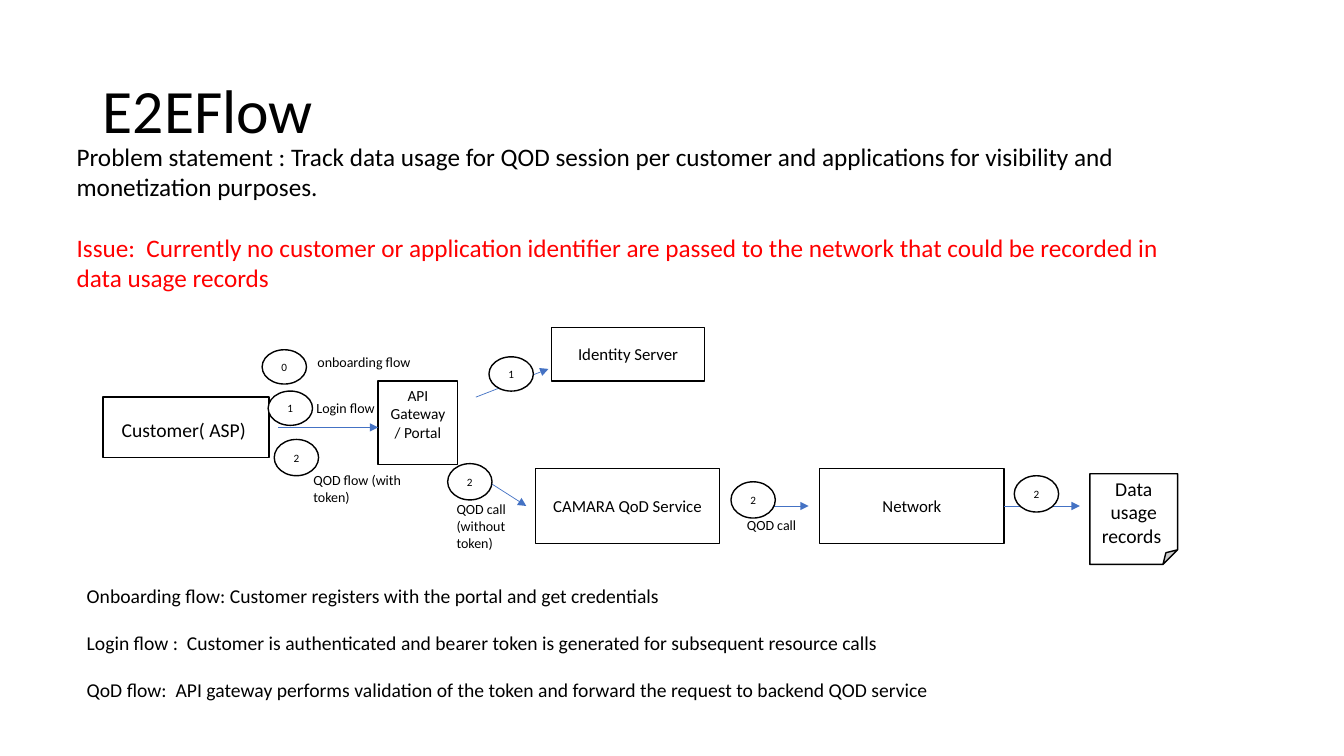
from lxml.etree import SubElement
from pptx import Presentation
from pptx.dml.color import RGBColor
from pptx.enum.shapes import MSO_CONNECTOR, MSO_SHAPE
from pptx.enum.text import MSO_ANCHOR, MSO_AUTO_SIZE, PP_ALIGN
from pptx.oxml.ns import qn
from pptx.util import Inches, Pt

WIDE, HIGH = Inches(13.33), Inches(7.5)
COLS, ROWS = 133.3, 75


def color(code):
    return RGBColor.from_string(code)


def grid(left, top, width, height):
    """Turn columns and rows into slide lengths."""
    return [round(n * size) for n, size in zip(
        (left, top, width, height), (WIDE / COLS, HIGH / ROWS) * 2)]


class Board:
    face, ink, paper, blue = "Calibri", "000000", "FFFFFF", "4472C4"

    def __init__(self, slide):
        self.slide = slide

    def style(self, para, size, ink=None, align=PP_ALIGN.LEFT):
        para.alignment = align
        para.font.name, para.font.size = self.face, Pt(size)
        para.font.color.rgb = color(ink or self.ink)

    def place(self, index, area):
        """Move a placeholder and return its text frame."""
        holder = self.slide.placeholders[index]
        holder.left, holder.top, holder.width, holder.height = grid(*area)
        holder.text_frame.auto_size = MSO_AUTO_SIZE.NONE
        return holder.text_frame

    def title(self, area, text):
        frame = self.place(0, area)
        frame.text, frame.vertical_anchor = text, MSO_ANCHOR.MIDDLE
        frame.paragraphs[0].line_spacing = 0.9
        self.style(frame.paragraphs[0], 44)

    def body(self, index, area, size, gap, items):
        """Fill a body placeholder with (text, ink) items, without bullets."""
        frame = self.place(index, area)
        frame.text = "\n".join(text for text, _ in items)
        for i, (para, (_, ink)) in enumerate(zip(frame.paragraphs, items)):
            para.space_before = Pt(gap if i else 0)
            props = para._p.get_or_add_pPr()
            props.set("marL", "0")
            props.set("indent", "0")
            SubElement(props, qn("a:buNone"))
            self.style(para, size, ink)

    def shape(self, kind, area, text, size, low=0.05):
        """Draw an outlined shape; low is the bottom inset in inches."""
        item = self.slide.shapes.add_shape(kind, *grid(*area))
        item.shadow.inherit = False
        item.fill.solid()
        item.fill.fore_color.rgb = color(self.paper)
        item.line.color.rgb, item.line.width = color(self.ink), Pt(1)
        frame = item.text_frame
        frame.text, frame.word_wrap = text, True
        frame.vertical_anchor = MSO_ANCHOR.MIDDLE
        frame.margin_bottom = Inches(low)
        self.style(frame.paragraphs[0], size, align=PP_ALIGN.CENTER)

    def step(self, left, top, height, text):
        self.shape(MSO_SHAPE.OVAL, (left, top, 4.4, height), text, 8)

    def label(self, area, text):
        box = self.slide.shapes.add_textbox(*grid(*area))
        box.text_frame.word_wrap = True
        box.text_frame.text = text
        self.style(box.text_frame.paragraphs[0], 10)

    def arrow(self, *ends):
        link = self.slide.shapes.add_connector(
            MSO_CONNECTOR.STRAIGHT, *grid(*ends))
        link.line.color.rgb, link.line.width = color(self.blue), Pt(0.5)
        SubElement(link.line._ln, qn("a:tailEnd"), type="triangle")
        SubElement(link._element.spPr, qn("a:effectLst"))


def main():
    deck = Presentation()
    deck.slide_width, deck.slide_height = WIDE, HIGH
    board = Board(deck.slides.add_slide(deck.slide_layouts[3]))

    board.title((9.2, 4, 115, 14.5), "E2EFlow")
    board.body(1, (6.6, 13.5, 112.8, 16.2), 18, 22, [
        ("Problem statement : Track data usage for QOD session per customer "
         "and applications for visibility and monetization purposes.", None),
        ("Issue:  Currently no customer or application identifier are passed "
         "to the network that could be recorded in data usage records",
         "FF0000")])
    board.body(2, (7.6, 57.4, 100, 12.8), 14, 17, [
        ("Onboarding flow: Customer registers with the portal and get "
         "credentials", None),
        ("Login flow :  Customer is authenticated and bearer token is "
         "generated for subsequent resource calls", None),
        ("QoD flow:  API gateway performs validation of the token and "
         "forward the request to backend QOD service", None)])

    rect = MSO_SHAPE.RECTANGLE
    board.shape(rect, (10.2, 39.4, 16.5, 6), "Customer( ASP) ", 14, 0)
    board.shape(rect, (54.7, 32.5, 15.2, 5.3), "Identity Server", 12)
    board.shape(rect, (37.5, 37.8, 7.9, 8.3), "API Gateway/ Portal", 11, 0.23)
    for left, name in (53.1, "CAMARA QoD Service"), (81.3, "Network"):
        board.shape(rect, (left, 46.5, 18.3, 7.4), name, 12)
    board.shape(MSO_SHAPE.FOLDED_CORNER, (108.1, 47, 8.7, 9),
                "Data usage records ", 14)

    for ends in [(27.6, 42.4, 37.5, 42.4), (47.2, 39.4, 54.4, 36.6),
                 (47.2, 47, 52.2, 50.2), (72.8, 50.2, 80.2, 50.2),
                 (99.6, 50.2, 107.1, 50.2)]:
        board.arrow(*ends)

    for left, top, text in [(26, 34.7, "0"), (26.6, 38.8, "1"),
                            (48.5, 35.4, "1")]:
        board.step(left, top, 3.4, text)
    for left, top in (27.2, 43.6), (44.4, 46), (72.5, 47.8), (100.6, 47.2):
        board.step(left, top, 3.6, "2")

    for area, text in [
            ((30.5, 34.6, 12.8, 2.7), "onboarding flow"),
            ((30.4, 39.1, 12.8, 2.7), "Login flow"),
            ((30.1, 46.3, 12.8, 4.4), "QOD flow (with token)"),
            ((44.3, 49.2, 7.7, 6.1), "QOD call (without token)"),
            ((73.1, 50.8, 7.7, 2.7), "QOD call")]:
        board.label(area, text)

    deck.save("out.pptx")


if __name__ == "__main__":
    main()
